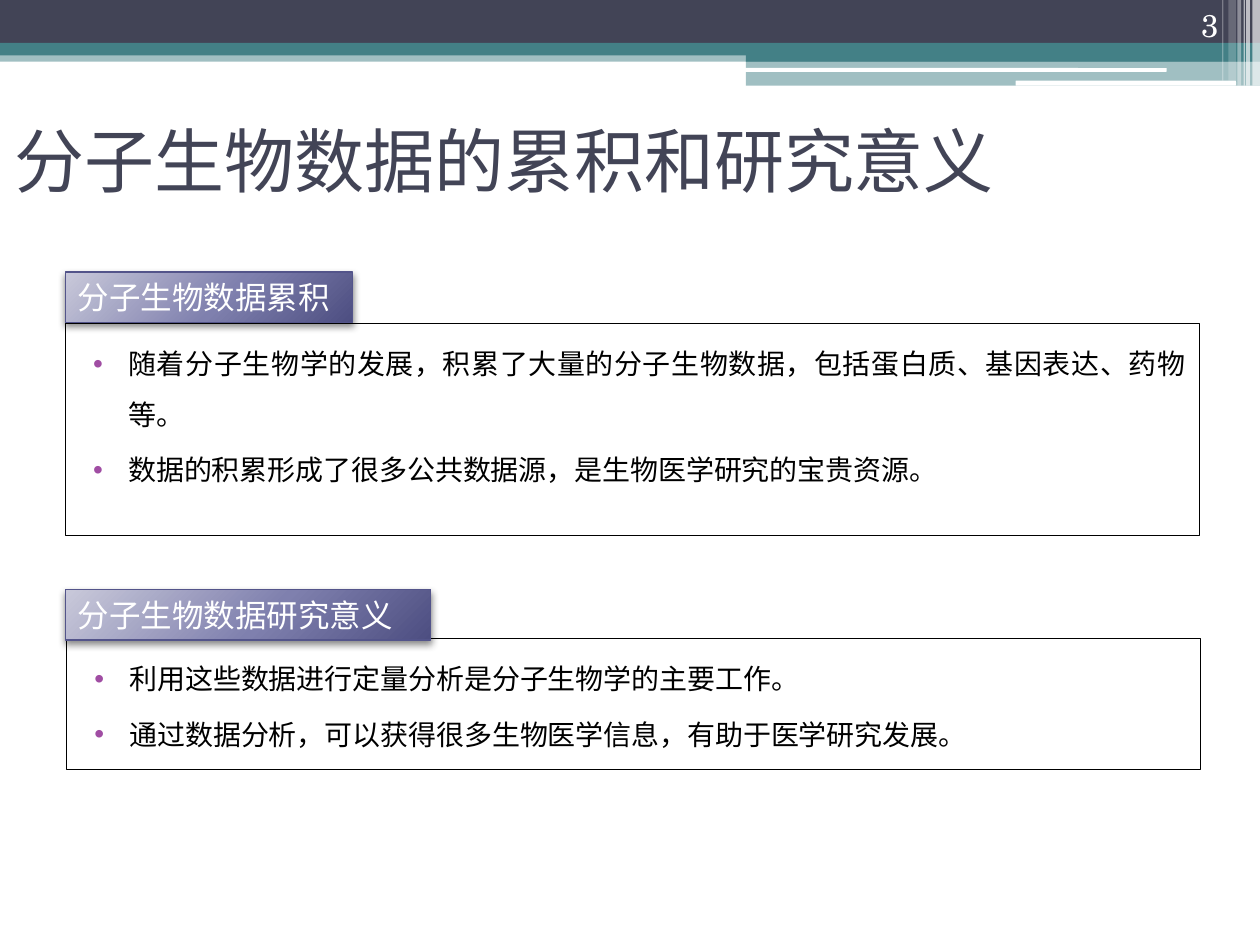
from lxml import etree
from pptx import Presentation
from pptx.dml.color import RGBColor
from pptx.enum.shapes import MSO_SHAPE
from pptx.enum.text import MSO_ANCHOR, PP_ALIGN
from pptx.oxml import parse_xml
from pptx.oxml.ns import nsdecls, qn
from pptx.util import Inches, Pt

RECT, ROUNDED = MSO_SHAPE.RECTANGLE, MSO_SHAPE.ROUNDED_RECTANGLE
TOP, MIDDLE, BOTTOM = MSO_ANCHOR.TOP, MSO_ANCHOR.MIDDLE, MSO_ANCHOR.BOTTOM
LEFT, RIGHT, JUSTIFY = PP_ALIGN.LEFT, PP_ALIGN.RIGHT, PP_ALIGN.JUSTIFY
HEADING_FONT, BODY_FONT = "Karla", "TeX Gyre Schola"
COLORS = {
    "navy": "424456", "teal": "438086", "white": "FFFFFF", "black": "000000",
    "bullet": "A04DA3", "tab_line": "53548A",
    "tab_light": "C9C9DA", "tab_mid": "7F80AE", "tab_dark": "4D4E81",
}
BANDS = [
    (0, 0.4, 10, 0.09, "teal", 50, RECT),
    (0, 0, 10, 0.34, "navy", 100, RECT),
    (0, 0.34, 10, 0.1, "teal", 100, RECT),
    (5.92, 0.39, 4.08, 0.1, "teal", 100, RECT),
    (5.92, 0.48, 4.08, 0.2, "teal", 50, RECT),
    (5.91, 0.54, 3.35, 0.03, "white", 100, ROUNDED),
    (8.06, 0.64, 1.75, 0.04, "white", 100, ROUNDED),
]
STRIPES = [
    (9.94, 0.06, 0.68, 65), (9.89, 0.03, 0.68, 65), (9.87, 0.01, 0.68, 60),
    (9.82, 0.03, 0.68, 40), (9.75, 0.06, 0.64, 20), (9.7, 0.01, 0.64, 30),
]
SECTIONS = [
    ((0.52, 2.57, 9, 1.68), (0.52, 2.16, 2.28, 0.4), "分子生物数据累积", [
        "随着分子生物学的发展，积累了大量的分子生物数据，包括蛋白质、基因表达、药物等。",
        "数据的积累形成了很多公共数据源，是生物医学研究的宝贵资源。",
    ]),
    ((0.53, 5.07, 9, 1.04), (0.52, 4.68, 2.9, 0.4), "分子生物数据研究意义", [
        "利用这些数据进行定量分析是分子生物学的主要工作。",
        "通过数据分析，可以获得很多生物医学信息，有助于医学研究发展。",
    ]),
]


def rgb(name):
    return RGBColor.from_string(COLORS[name])


def add_box(slide, box, fill=None, line=None, alpha=100, kind=RECT):
    shape = slide.shapes.add_shape(kind, *map(Inches, box))
    shape.shadow.inherit = False
    if fill:
        shape.fill.solid()
        shape.fill.fore_color.rgb = rgb(fill)
        if alpha < 100:
            color = shape.fill._xPr.find(qn("a:solidFill"))[0]
            etree.SubElement(color, qn("a:alpha"), val=str(alpha * 1000))
    else:
        shape.fill.background()
    if line:
        shape.line.color.rgb = rgb(line)
        shape.line.width = Pt(0.75)
    else:
        shape.line.fill.background()
    return shape


def write(shape, lines, size, color, font=BODY_FONT, align=LEFT, anchor=TOP):
    frame = shape.text_frame
    frame.word_wrap = True
    frame.vertical_anchor = anchor
    frame.text = "\n".join(lines)
    for paragraph in frame.paragraphs:
        paragraph.alignment = align
        run = paragraph.runs[0]
        for name, value in {"name": font, "size": Pt(size)}.items():
            setattr(run.font, name, value)
        run.font.color.rgb = rgb(color)
        run._r.get_or_add_rPr().set("lang", "zh-CN")
    return frame


def add_bullet(paragraph):
    for name, value in {"line_spacing": 1.5, "space_before": Pt(3)}.items():
        setattr(paragraph, name, value)
    properties = paragraph._p.get_or_add_pPr()
    properties.set("marL", str(Inches(0.4)))
    properties.set("indent", str(Inches(-0.28)))
    bullet_color = etree.SubElement(properties, qn("a:buClr"))
    etree.SubElement(bullet_color, qn("a:srgbClr"), val=COLORS["bullet"])
    etree.SubElement(properties, qn("a:buFont"), typeface="Arial")
    etree.SubElement(properties, qn("a:buChar"), char="•")


def add_header(slide):
    for *box, color, alpha, kind in BANDS:
        add_box(slide, box, color, alpha=alpha, kind=kind)
    for left, width, height, alpha in STRIPES:
        add_box(slide, (left, 0, width, height), "white", alpha=alpha)


def add_text(slide, box, text, size, color, **style):
    write(slide.shapes.add_textbox(*map(Inches, box)), [text], size, color, **style)


def add_tab(slide, box, heading):
    tab = add_box(slide, box, "tab_mid", "tab_line")
    properties = tab._element.spPr
    stops = "".join(
        f'<a:gs pos="{position * 1000}"><a:srgbClr val="{COLORS[name]}"/></a:gs>'
        for position, name in ((0, "tab_light"), (55, "tab_mid"), (100, "tab_dark")))
    gradient = parse_xml(
        f'<a:gradFill {nsdecls("a")} rotWithShape="1"><a:gsLst>{stops}</a:gsLst>'
        '<a:path path="circle"><a:fillToRect l="-40000" t="-90000" r="140000" b="190000"/>'
        '</a:path></a:gradFill>')
    properties.replace(properties.find(qn("a:solidFill")), gradient)
    shadow = etree.SubElement(
        properties.find(qn("a:effectLst")), qn("a:outerShdw"),
        blurRad=str(Pt(4)), dist=str(Pt(2)), dir="5400000", rotWithShape="0")
    shade = etree.SubElement(shadow, qn("a:srgbClr"), val=COLORS["black"])
    etree.SubElement(shade, qn("a:alpha"), val="45000")
    write(tab, [heading], 18, "white")


def add_panel(slide, box, points):
    panel = add_box(slide, box, line="black")
    for paragraph in write(panel, points, 16, "black", align=JUSTIFY).paragraphs:
        add_bullet(paragraph)


def main():
    deck = Presentation()
    deck.slide_width, deck.slide_height = Inches(10), Inches(7.5)
    slide = deck.slides.add_slide(deck.slide_layouts[6])
    add_header(slide)
    add_text(slide, (0.02, 0.68, 9, 1.17), "分子生物数据的累积和研究意义", 40, "navy",
             font=HEADING_FONT, anchor=MIDDLE)
    add_text(slide, (8.94, 0, 0.83, 0.4), "3", 18, "white", align=RIGHT, anchor=BOTTOM)
    for panel_box, tab_box, heading, points in SECTIONS:
        add_panel(slide, panel_box, points)
        add_tab(slide, tab_box, heading)
    deck.save("out.pptx")


if __name__ == "__main__":
    main()
